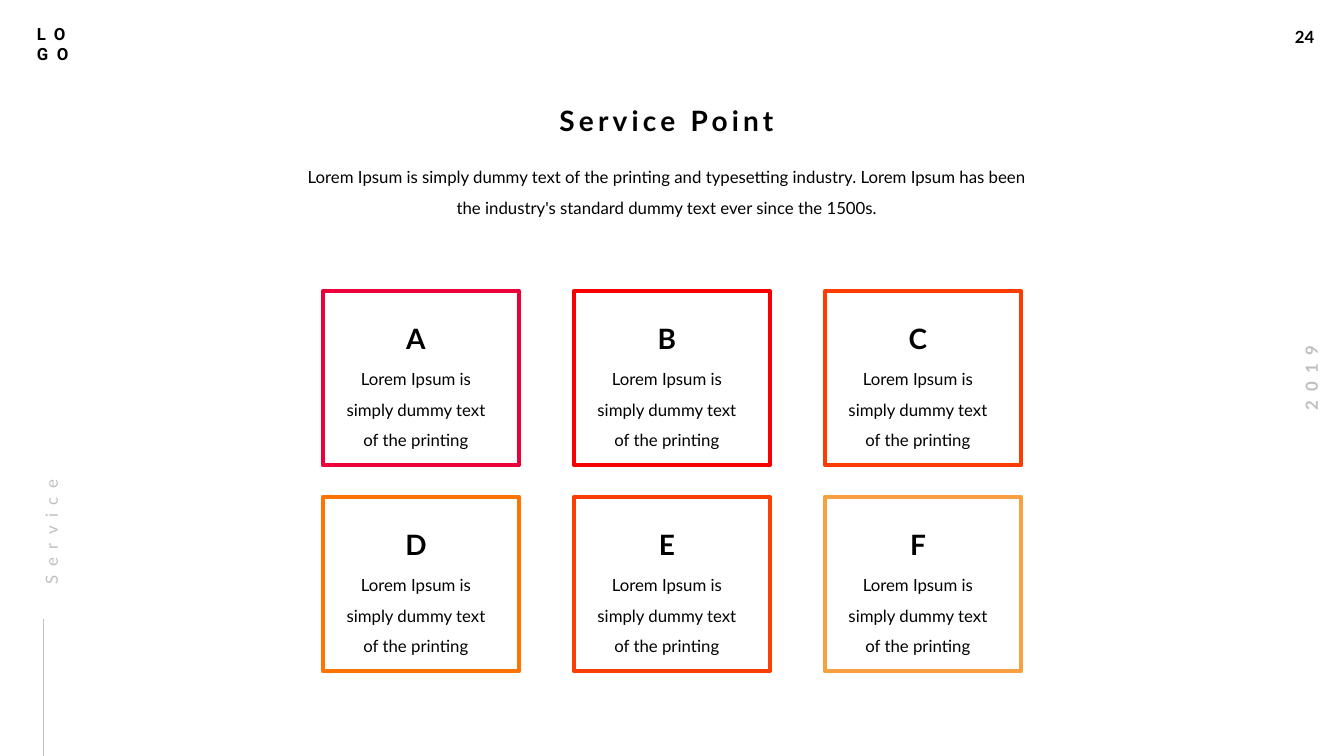
from lxml.etree import SubElement
from pptx import Presentation
from pptx.dml.color import RGBColor
from pptx.enum.shapes import MSO_CONNECTOR, MSO_SHAPE
from pptx.enum.text import MSO_AUTO_SIZE, PP_ALIGN
from pptx.oxml.ns import qn
from pptx.util import Emu, Pt

SCALE = 914400 / 100.8
COLORS = {
    "ink": "000000", "muted": "BFBFBF",
    "A": "EB003A", "B": "F80001", "C": "FE3C00",
    "D": "FF7300", "E": "FB3E03", "F": "FAA03E",
}
DEFAULT_INSETS = (10, 5, 10, 5)
FLUSH_INSETS = (0, 0, 10, 0)
BODY = "Lorem Ipsum is simply dummy text of the printing"
INTRO = ("Lorem Ipsum is simply dummy text of the printing and typesetting "
         "industry. Lorem Ipsum has been the industry's standard dummy text "
         "ever since the 1500s.")


def px(n):
    return Emu(round(n * SCALE))


def rgb(name):
    return RGBColor.from_string(COLORS[name])


def write(tf, text, size=12, font="Lato", color="ink", bold=False,
          spacing=0, align=PP_ALIGN.CENTER, line=1.0, before=0):
    for i, words in enumerate(text.split("\n")):
        p = tf.add_paragraph() if i else tf.paragraphs[0]
        p.alignment, p.line_spacing, p.space_before = align, line, Pt(before)
        r = p.add_run()
        r.text = words
        r.font.size, r.font.name, r.font.bold = Pt(size), font, bold
        r.font.color.rgb = rgb(color)
        if spacing:
            r.font._element.set("spc", str(spacing * 100))


class Deck:
    def __init__(self, prs):
        self.s = prs.slides.add_slide(prs.slide_layouts[6])

    def text(self, box, text, insets=FLUSH_INSETS, wrap=True, rotation=0, **fmt):
        sp = self.s.shapes.add_textbox(*map(px, box))
        sp.rotation = rotation
        tf = sp.text_frame
        tf.word_wrap, tf.auto_size = wrap, MSO_AUTO_SIZE.SHAPE_TO_FIT_TEXT
        (tf.margin_left, tf.margin_top,
         tf.margin_right, tf.margin_bottom) = map(px, insets)
        write(tf, text, **fmt)

    def frame(self, box, color):
        sp = self.s.shapes.add_shape(MSO_SHAPE.RECTANGLE, *map(px, box))
        sp.shadow.inherit = False
        sp.fill.background()
        sp.line.color.rgb, sp.line.width = rgb(color), Pt(3)

    def line(self, x1, y1, x2, y2, color, width):
        sp = self.s.shapes.add_connector(
            MSO_CONNECTOR.STRAIGHT, *map(px, (x1, y1, x2, y2)))
        sp.line.color.rgb, sp.line.width = rgb(color), Pt(width)
        SubElement(sp._element.spPr, qn("a:effectLst"))

    def card(self, x, y, letter):
        self.frame((x, y, 196, 174), letter)
        self.text((x + 18, y + 68, 160, 88), BODY, line=1.5)
        self.text((x + 27, y + 14, 142, 44), letter,
                  size=20, bold=True, spacing=3, line=1.5)


prs = Presentation()
prs.slide_width, prs.slide_height = px(1344), px(756)
deck = Deck(prs)

deck.text((1285, 22, 41, 30), "24", insets=DEFAULT_INSETS, wrap=False,
          bold=True, align=PP_ALIGN.LEFT)
deck.text((1264, 363, 94, 30), "2019", insets=DEFAULT_INSETS, wrap=False,
          rotation=270, color="muted", bold=True, spacing=6)
deck.text((27, 19, 59, 50), "LO\nGO", insets=DEFAULT_INSETS, font="Roboto",
          bold=True, spacing=6, align=PP_ALIGN.LEFT)
deck.text((302, 157, 740, 57), INTRO, line=1.5, before=12)
deck.text((495, 103, 353, 34), "Service Point",
          size=20, bold=True, spacing=3, before=12)
deck.line(43, 756, 43, 619, "muted", 0.5)
deck.text((-49, 478, 186, 26), "Service", rotation=270, color="muted",
          spacing=6, align=PP_ALIGN.LEFT, line=1.5, before=12)

for i, letter in enumerate("ABCDEF"):
    row, col = divmod(i, 3)
    deck.card(323 + 251 * col, 291 + 206 * row, letter)

prs.save("out.pptx")
